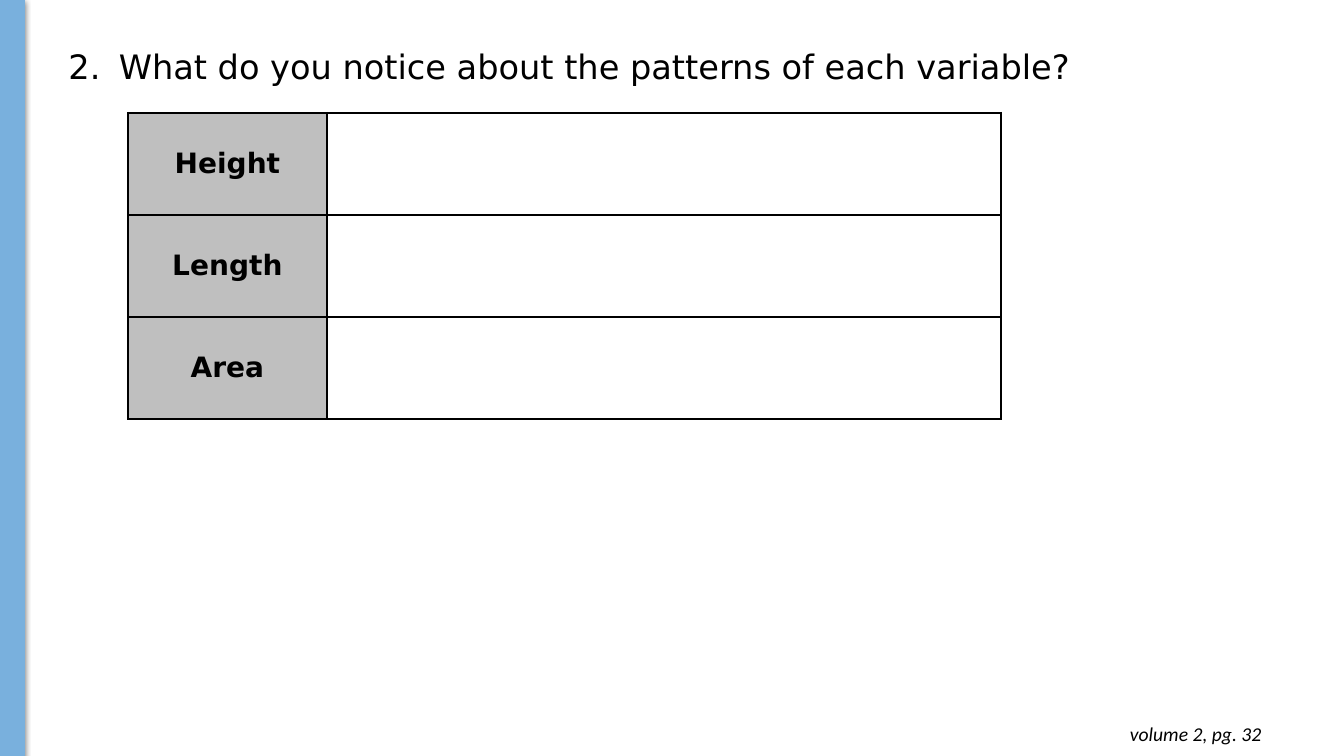
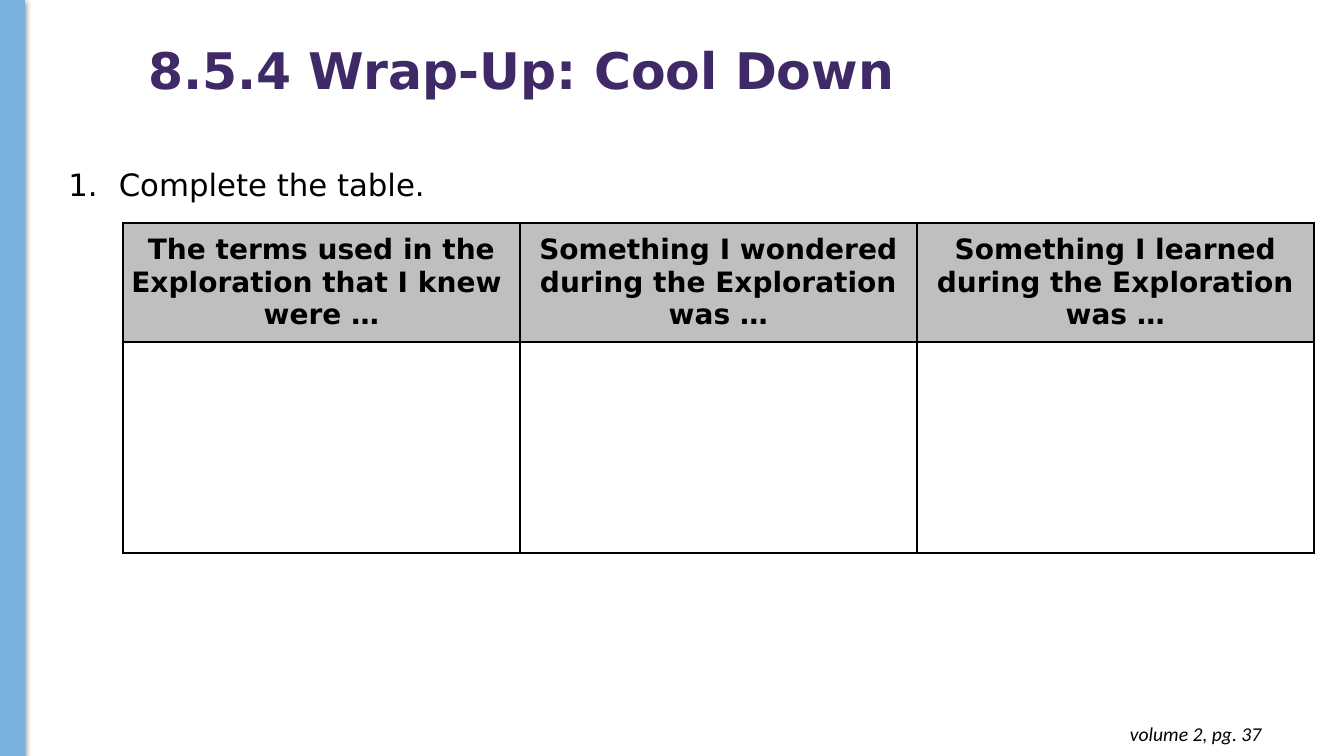
from dataclasses import dataclass
from typing import NamedTuple

from lxml import etree
from pptx import Presentation
from pptx import util as u
from pptx.dml.color import RGBColor
from pptx.enum import shapes, text
from pptx.oxml import ns

WIDTH, HEIGHT = u.Inches(13.33), u.Inches(7.5)


@dataclass(frozen=True)
class Theme:
    ink: str = "000000"
    band: str = "79B0DD"
    title: str = "3F2A67"
    label: str = "BFBFBF"
    body_font: str = "DejaVu Sans"
    footer_font: str = "Calibri"
    title_size: int = 36
    label_size: int = 20
    footer_size: int = 14
    border: float = 1.5


THEME = Theme()


class Area(NamedTuple):
    """Left, top, width and height in percent of the slide."""
    left: float
    top: float
    width: float
    height: float

    def lengths(self) -> tuple[int, int, int, int]:
        return (round(self.left * WIDTH / 100), round(self.top * HEIGHT / 100),
                round(self.width * WIDTH / 100), round(self.height * HEIGHT / 100))


class Question(NamedTuple):
    number: int
    wording: str
    size: int
    area: Area


class Grid(NamedTuple):
    """Column and row shares, with labels keyed by (row, column)."""
    area: Area
    columns: tuple[float, ...]
    rows: tuple[float, ...]
    labels: dict[tuple[int, int], str]


class Page(NamedTuple):
    title: str
    question: Question
    grid: Grid
    footer: str


BAND = Area(0, 0, 1.8, 100)
TITLE = Area(10.28, 0, 65.79, 19.33)
FOOTER = Area(72.99, 94.13, 21.61, 5.87)

PAGES = (
    Page("",
         Question(2, "What do you notice about the patterns of each variable?", 24,
                  Area(4.35, 5.47, 86.27, 6.67)),
         Grid(Area(9.53, 14.93, 64.97, 40.53), (22.75, 77.25), (1, 1, 1),
              {(row, 0): label for row, label in enumerate(("Height", "Length", "Area"))}),
         "volume 2, pg. 32"),
    Page("8.5.4 Wrap-Up: Cool Down",
         Question(1, "Complete the table.", 22, Area(4.35, 21.33, 68.34, 6.27)),
         Grid(Area(9.15, 29.47, 88.6, 43.73), (1, 1, 1), (36, 64),
              {(0, column): label for column, label in enumerate((
                  "The terms used in the Exploration that I knew \nwere …",
                  "Something I wondered during the Exploration was …",
                  "Something I learned during the Exploration was …"))}),
         "volume 2, pg. 37"),
)


def add_element(parent, tag: str, **attributes):
    return etree.SubElement(parent, ns.qn(tag), attributes)


def style(para, size: int, color: str = THEME.ink, name: str = THEME.body_font,
          bold: bool = False, italic: bool = False) -> None:
    font = para.font
    font.size, font.name, font.bold, font.italic = u.Pt(size), name, bold, italic
    font.color.rgb = RGBColor.from_string(color)


def add_text(slide, area: Area, wording: str):
    box = slide.shapes.add_textbox(*area.lengths())
    frame = box.text_frame
    frame.word_wrap = True
    frame.text = wording
    return frame, frame.paragraphs[0]


# Shared parts
def draw_band(slide) -> None:
    band = slide.shapes.add_shape(shapes.MSO_SHAPE.RECTANGLE, *BAND.lengths())
    color = RGBColor.from_string(THEME.band)
    band.fill.solid()
    band.fill.fore_color.rgb = color
    band.line.color.rgb = color
    band.line.width = u.Pt(0.75)
    band.shadow.inherit = False
    effects = band.element.spPr.find(ns.qn("a:effectLst"))
    shadow = add_element(effects, "a:outerShdw", blurRad=str(u.Pt(4.5)),
                         dist=str(u.Pt(1.5)), dir="5400000", rotWithShape="0")
    tint = add_element(shadow, "a:srgbClr", val=THEME.ink)
    add_element(tint, "a:alpha", val="50000")


def draw_title(slide, wording: str) -> None:
    frame, para = add_text(slide, TITLE, wording)
    frame.vertical_anchor = text.MSO_ANCHOR.MIDDLE
    para.line_spacing = 0.9
    style(para, THEME.title_size, THEME.title, bold=True)


def draw_footer(slide, wording: str) -> None:
    frame, para = add_text(slide, FOOTER, wording)
    frame.margin_top = frame.margin_bottom = u.Inches(0.1)
    para.alignment = text.PP_ALIGN.RIGHT
    style(para, THEME.footer_size, name=THEME.footer_font, italic=True)


# Numbered question
def draw_question(slide, question: Question) -> None:
    _, para = add_text(slide, question.area, question.wording)
    properties = para._p.get_or_add_pPr()
    indent = u.Inches(0.5)
    properties.set("marL", str(indent))
    properties.set("indent", str(-indent))
    color = add_element(properties, "a:buClr")
    add_element(color, "a:srgbClr", val=THEME.ink)
    add_element(properties, "a:buFont", typeface=THEME.body_font)
    add_element(properties, "a:buAutoNum", type="arabicPeriod", startAt=str(question.number))
    style(para, question.size)


# Table
def draw_borders(cell) -> None:
    properties = cell._tc.get_or_add_tcPr()
    for side in ("a:lnL", "a:lnR", "a:lnT", "a:lnB"):
        line = add_element(properties, side, w=str(u.Pt(THEME.border)))
        fill = add_element(line, "a:solidFill")
        add_element(fill, "a:srgbClr", val=THEME.ink)


def draw_label(cell, wording: str) -> None:
    cell.fill.solid()
    cell.fill.fore_color.rgb = RGBColor.from_string(THEME.label)
    cell.vertical_anchor = text.MSO_ANCHOR.MIDDLE
    cell.margin_left = cell.margin_right = u.Inches(0.07)
    cell.margin_top = cell.margin_bottom = 0
    cell.text = wording
    for para in cell.text_frame.paragraphs:
        para.alignment = text.PP_ALIGN.CENTER
        style(para, THEME.label_size, bold=True)


def draw_grid(slide, grid: Grid) -> None:
    left, top, width, height = grid.area.lengths()
    table = slide.shapes.add_table(len(grid.rows), len(grid.columns),
                                   left, top, width, height).table
    table.first_row = table.horz_banding = False
    for column, share in zip(table.columns, grid.columns):
        column.width = round(width * share / sum(grid.columns))
    for row, share in zip(table.rows, grid.rows):
        row.height = round(height * share / sum(grid.rows))
    for row in range(len(grid.rows)):
        for column in range(len(grid.columns)):
            cell = table.cell(row, column)
            draw_borders(cell)
            if (row, column) in grid.labels:
                draw_label(cell, grid.labels[row, column])
            else:
                cell.fill.background()


def main() -> None:
    deck = Presentation()
    deck.slide_width, deck.slide_height = WIDTH, HEIGHT
    for page in PAGES:
        slide = deck.slides.add_slide(deck.slide_layouts[6])
        draw_band(slide)
        if page.title:
            draw_title(slide, page.title)
        draw_question(slide, page.question)
        draw_grid(slide, page.grid)
        draw_footer(slide, page.footer)
    deck.save("out.pptx")


if __name__ == "__main__":
    main()
